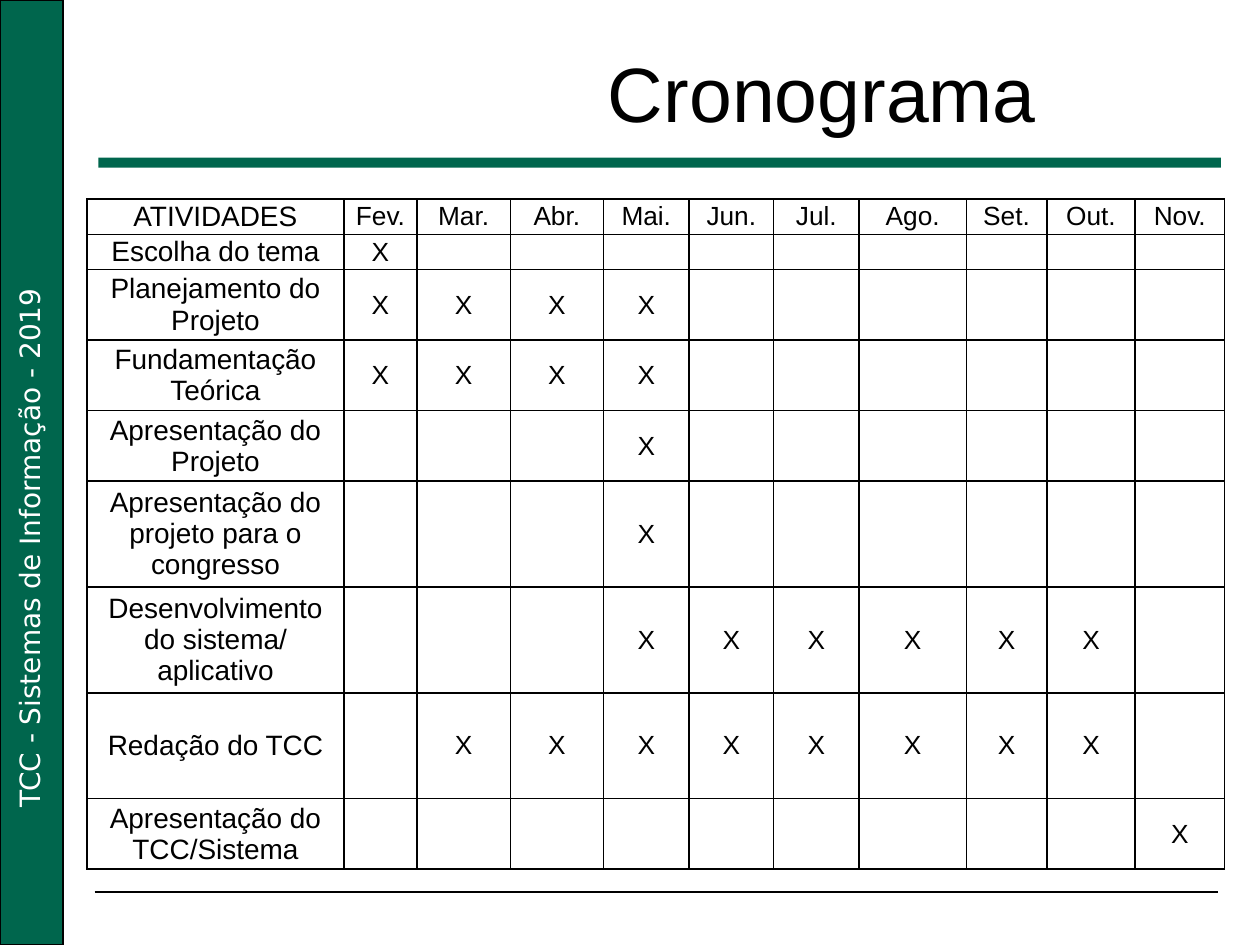
from lxml.etree import SubElement
from pptx import Presentation
from pptx.dml.color import RGBColor
from pptx.enum.shapes import MSO_CONNECTOR, MSO_SHAPE
from pptx.enum.text import MSO_ANCHOR, PP_ALIGN
from pptx.oxml.ns import qn
from pptx.util import Pt

SCALE = 9144
GREEN = RGBColor(0x00, 0x66, 0x4D)
BLACK = RGBColor(0x00, 0x00, 0x00)
WHITE = RGBColor(0xFF, 0xFF, 0xFF)

MONTHS = ["Fev.", "Mar.", "Abr.", "Mai.", "Jun.", "Jul.", "Ago.", "Set.", "Out.", "Nov."]
TASKS = [
    ("Escolha do tema", "Fev."),
    ("Planejamento do Projeto", "Fev. Mar. Abr. Mai."),
    ("Fundamentação Teórica", "Fev. Mar. Abr. Mai."),
    ("Apresentação do Projeto", "Mai."),
    ("Apresentação do projeto para o congresso", "Mai."),
    ("Desenvolvimento do sistema/ aplicativo", "Mai. Jun. Jul. Ago. Set. Out."),
    ("Redação do TCC", "Mar. Abr. Mai. Jun. Jul. Ago. Set. Out."),
    ("Apresentação do TCC/Sistema", "Nov."),
]
WIDTHS = [204, 58, 74, 74, 68, 67, 68, 85, 64, 70, 71]
HEIGHTS = [28, 28, 56, 56, 56, 84, 84, 84, 56]


class Deck:
    """Hold the style and the current slide, and draw each kind of element."""

    def __init__(self, wide, high):
        self.show = Presentation()
        self.show.slide_width = self.px(wide)
        self.show.slide_height = self.px(high)
        self.slide = self.show.slides.add_slide(self.show.slide_layouts[6])
        self.shapes = self.slide.shapes

    def px(self, *marks):
        sizes = [mark * SCALE for mark in marks]
        return sizes if len(sizes) > 1 else sizes[0]

    def apply(self, item, look):
        for name, value in look.items():
            setattr(item, name, value)

    def words(self, para, text, size, color=BLACK, font="Arial", align=PP_ALIGN.CENTER):
        para.alignment = align
        run = para.add_run()
        run.text = text
        self.apply(run.font, {"size": Pt(size), "name": font})
        run.font.color.rgb = color

    def bar(self, box, edge=None):
        shape = self.shapes.add_shape(MSO_SHAPE.RECTANGLE, *self.px(*box))
        shape.shadow.inherit = False
        shape.fill.solid()
        shape.fill.fore_color.rgb = GREEN
        if edge is None:
            shape.line.fill.background()
        else:
            shape.line.color.rgb = edge
            shape.line.width = Pt(0.75)

    def rule(self, ends):
        line = self.shapes.add_connector(MSO_CONNECTOR.STRAIGHT, *self.px(*ends))
        line.line.color.rgb = BLACK
        line.line.width = Pt(0.75)
        SubElement(line._element.spPr, qn("a:effectLst"))

    def label(self, box, text, size, turn=0, **style):
        shape = self.shapes.add_textbox(*self.px(*box))
        shape.rotation = turn
        frame = shape.text_frame
        self.apply(frame, {"word_wrap": True, "vertical_anchor": MSO_ANCHOR.MIDDLE})
        self.words(frame.paragraphs[0], text, size, **style)

    def border(self, cell):
        props = cell._tc.get_or_add_tcPr()
        for side in ("lnL", "lnR", "lnT", "lnB"):
            line = SubElement(props, qn(f"a:{side}"), w=str(Pt(1)))
            fill = SubElement(line, qn("a:solidFill"))
            SubElement(fill, qn("a:srgbClr"), val=str(BLACK))

    def cell(self, cell, text, size):
        look = {"margin_left": self.px(7), "margin_right": self.px(7), "margin_top": 0,
                "margin_bottom": 0, "vertical_anchor": MSO_ANCHOR.MIDDLE}
        self.apply(cell, look)
        self.border(cell)
        cell.fill.background()
        para = cell.text_frame.paragraphs[0]
        if text:
            self.words(para, text, size)
        else:
            SubElement(para._p, qn("a:endParaRPr"), sz=str(size * 100))

    def grid(self, left, top, rows, widths, heights):
        box = self.px(left, top, sum(widths), sum(heights))
        table = self.shapes.add_table(len(rows), len(widths), *box).table
        self.apply(table, {"first_row": False, "horz_banding": False})
        for col, width in zip(table.columns, widths):
            col.width = self.px(width)
        for row, height, texts in zip(table.rows, heights, rows):
            row.height = self.px(height)
            for spot, (cell, text) in enumerate(zip(row.cells, texts)):
                self.cell(cell, text, 15 if spot else 16)

    def save(self):
        self.show.save("out.pptx")


def main():
    deck = Deck(1000, 750)
    deck.bar((0, 0, 50, 750), BLACK)
    deck.label((-201, 408, 448, 37), "TCC - Sistemas de Informação - 2019", 16, 270,
               color=WHITE, font="DejaVu Sans", align=PP_ALIGN.LEFT)
    deck.rule((75, 708, 967, 708))
    deck.bar((78, 125, 891, 8))
    deck.label((344, 23, 617, 100), "Cronograma", 44)
    rows = [["ATIVIDADES", *MONTHS]]
    for task, span in TASKS:
        rows.append([task, *("X" if month in span else "" for month in MONTHS)])
    deck.grid(69, 158, rows, WIDTHS, HEIGHTS)
    deck.save()


if __name__ == "__main__":
    main()
